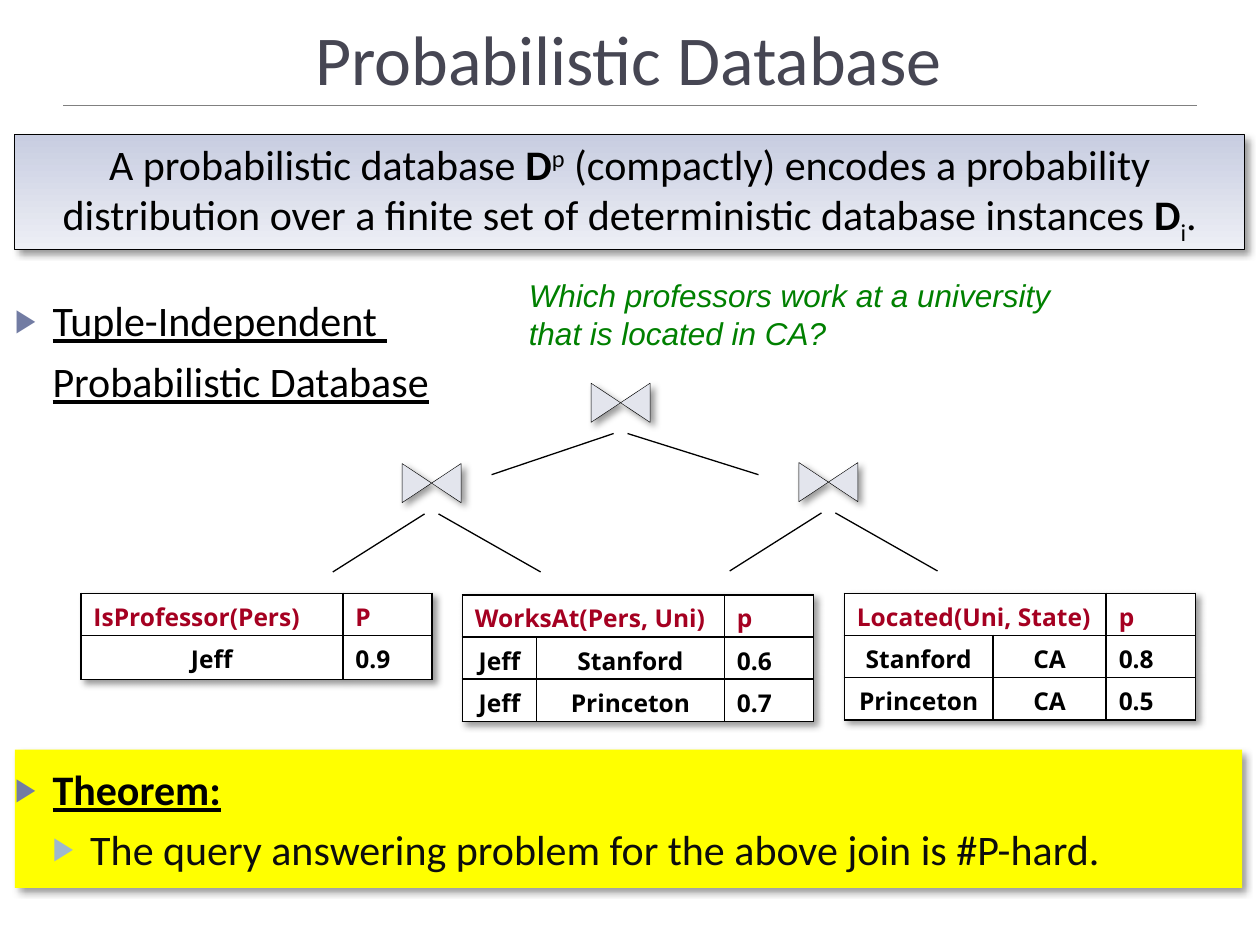
from lxml import etree
from pptx import Presentation
from pptx import util as u
from pptx.dml.color import RGBColor
from pptx.enum import shapes, text
from pptx.oxml import ns, parse_xml

BLACK = RGBColor(0x00, 0x00, 0x00)
WHITE = RGBColor(0xFF, 0xFF, 0xFF)
GREY = RGBColor(0x80, 0x80, 0x80)
SLATE = RGBColor(0x46, 0x46, 0x53)
INK = RGBColor(0x0D, 0x0D, 0x0D)
RED = RGBColor(0xA5, 0x00, 0x21)
GREEN = RGBColor(0x00, 0x80, 0x00)
YELLOW = RGBColor(0xFF, 0xFF, 0x00)
JOIN_FILL = RGBColor(0xE3, 0xE5, 0xED)
BANNER_TOP = RGBColor(0xC8, 0xCD, 0xE1)
BANNER_BOTTOM = RGBColor(0xED, 0xEF, 0xF5)
BULLET = RGBColor(0x72, 0x7C, 0xA3)
SUB_BULLET = RGBColor(0x9F, 0xB8, 0xCD)

SHADOW = (
    f'<a:outerShdw {ns.nsdecls("a")} blurRad="50800" dist="38100" dir="2700000" '
    'algn="tl" rotWithShape="0"><a:srgbClr val="000000"><a:alpha val="40000"/>'
    '</a:srgbClr></a:outerShdw>'
)
LEFT, CENTER = text.PP_ALIGN.LEFT, text.PP_ALIGN.CENTER
TOP, MIDDLE, BOTTOM = (text.MSO_ANCHOR.TOP, text.MSO_ANCHOR.MIDDLE,
                       text.MSO_ANCHOR.BOTTOM)
RECTANGLE = shapes.MSO_SHAPE.RECTANGLE
COLLATE = shapes.MSO_SHAPE.FLOWCHART_COLLATE


class SlideBuilder:
    body_font = "Calibri"
    table_font = "Open Sans"
    body_size = 24

    def __init__(self, slide):
        self.slide = slide

    def effects(self, properties, shadow, index=None):
        effects = etree.Element(ns.qn("a:effectLst"))
        if shadow:
            effects.append(parse_xml(SHADOW))
        properties.insert(len(properties) if index is None else index, effects)

    def shape(self, kind, left, top, width, height, fill, line=None):
        shape = self.slide.shapes.add_shape(
            kind, u.Cm(left), u.Cm(top), u.Cm(width), u.Cm(height))
        if isinstance(fill, RGBColor):
            shape.fill.solid()
            shape.fill.fore_color.rgb = fill
        else:
            shape.fill.gradient()
            shape.fill.gradient_angle = 270
            for position, stop in enumerate(shape.fill.gradient_stops):
                stop.color.rgb = fill[position]
                stop.position = position
        if line:
            shape.line.color.rgb = BLACK
            shape.line.width = u.Pt(line)
        else:
            shape.line.fill.background()
        self.effects(shape._element.spPr, shadow=True)
        return shape

    def line(self, x1, y1, x2, y2, color=BLACK, width=0.75, shadow=False):
        line = self.slide.shapes.add_connector(
            shapes.MSO_CONNECTOR.STRAIGHT,
            u.Cm(x1), u.Cm(y1), u.Cm(x2), u.Cm(y2))
        line.line.color.rgb = color
        line.line.width = u.Pt(width)
        self.effects(line._element.spPr, shadow)

    def text_box(self, left, top, width, height):
        return self.slide.shapes.add_textbox(
            u.Cm(left), u.Cm(top), u.Cm(width), u.Cm(height))

    def frame(self, shape, anchor=TOP, margin=None):
        frame = shape.text_frame
        frame.word_wrap = True
        frame.vertical_anchor = anchor
        if margin is not None:
            frame.margin_left = frame.margin_right = u.Cm(margin)
            frame.margin_top = frame.margin_bottom = u.Cm(margin)
        return frame

    def fill_paragraph(self, paragraph, content, align=LEFT, size=None, color=BLACK,
                       name=None, bold=None, italic=None, underline=None):
        paragraph.text = content
        paragraph.alignment = align
        font = paragraph.font
        font.name = name or self.body_font
        font.size = u.Pt(size or self.body_size)
        font.color.rgb = color
        font.bold, font.italic, font.underline = bold, italic, underline
        return paragraph

    def indent(self, paragraph, left, space=0, bullet=None):
        """Indent a paragraph, hanging a coloured arrow when bullet is given."""
        paragraph.space_before = u.Pt(space)
        properties = paragraph._p.get_or_add_pPr()
        properties.set("marL", str(int(u.Cm(left))))
        properties.set("indent", str(int(u.Cm(-0.76 if bullet else 0))))
        if bullet:
            marks = (
                f'<a:buClr {ns.nsdecls("a")}><a:srgbClr val="{bullet}"/></a:buClr>',
                f'<a:buSzPct {ns.nsdecls("a")} val="76000"/>',
                f'<a:buFont {ns.nsdecls("a")} typeface="Arial"/>',
                f'<a:buChar {ns.nsdecls("a")} char="▶"/>')
            # Bullet marks come before the default run properties
            position = len(properties.findall(ns.qn("a:spcBef")))
            for offset, mark in enumerate(marks):
                properties.insert(position + offset, parse_xml(mark))

    def join(self, x, y, left_reach, right_reach, depth):
        """Draw a join symbol centred on (x, y) and its two branches."""
        width, height = 0.79, 1.19
        symbol = self.shape(COLLATE, x - width / 2, y - height / 2,
                            width, height, JOIN_FILL, 0.25)
        symbol.rotation = 90
        for side, reach in ((-1, left_reach), (1, right_reach)):
            self.line(x + side * 0.14, y + 0.62, x + side * reach, y + depth)

    def table(self, left, top, columns, heights, rows):
        """Build a relation; None in a row extends the cell to its left."""
        graphic = self.slide.shapes.add_table(
            len(rows), len(columns), u.Cm(left), u.Cm(top),
            u.Cm(sum(columns)), u.Cm(sum(heights)))
        table = graphic.table
        table.first_row = table.horz_banding = False
        self.effects(table._tbl.tblPr, shadow=True, index=0)
        for column, width in zip(table.columns, columns):
            column.width = u.Cm(width)
        for row, height in zip(table.rows, heights):
            row.height = u.Cm(height)
        for i, row in enumerate(rows):
            for j, content in enumerate(row):
                cell = table.cell(i, j)
                self.style_cell(cell)
                if content is None:
                    table.cell(i, j - 1).merge(cell)
                    continue
                centred = i > 0 and j < len(row) - 1
                self.fill_paragraph(cell.text_frame.paragraphs[0], content,
                                    CENTER if centred else LEFT, 14,
                                    BLACK if i else RED, self.table_font, bold=True)

    def style_cell(self, cell):
        cell.fill.solid()
        cell.fill.fore_color.rgb = WHITE
        cell.margin_top, cell.margin_bottom = u.Cm(0.14), u.Cm(0)
        properties = cell._tc.get_or_add_tcPr()
        for index, side in enumerate("LRTB"):
            properties.insert(index, parse_xml(
                f'<a:ln{side} {ns.nsdecls("a")} w="12700"><a:solidFill>'
                f'<a:srgbClr val="{BLACK}"/></a:solidFill></a:ln{side}>'))


def main():
    presentation = Presentation()
    presentation.slide_width, presentation.slide_height = u.Cm(25.4), u.Cm(19.05)
    slide = presentation.slides.add_slide(presentation.slide_layouts[6])
    builder = SlideBuilder(slide)

    # Title and rule
    builder.line(1.27, 2.13, 24.13, 2.13, GREY, 0.25, shadow=True)
    title = builder.frame(builder.text_box(1.24, -0.03, 22.86, 2.16), BOTTOM)
    builder.fill_paragraph(title.paragraphs[0], "Probabilistic Database",
                           CENTER, 40, SLATE)

    # Definition banner
    banner = builder.shape(RECTANGLE, 0.3, 2.72, 24.79, 2.31,
                           (BANNER_TOP, BANNER_BOTTOM), 0.5)
    definition = builder.fill_paragraph(
        builder.frame(banner, MIDDLE).paragraphs[0], "", CENTER)
    for content, bold, baseline in (
            ("A probabilistic database ", False, 0), ("D", True, 0),
            ("p", False, 30000),
            (" (compactly) encodes a probability distribution over a finite set "
             "of deterministic database instances ", False, 0),
            ("D", True, 0), ("i", False, -25000), (".", False, 0)):
        run = definition.add_run()
        run.text = content
        run.font.bold = bold
        if baseline:
            run._r.get_or_add_rPr().set("baseline", str(baseline))

    # Topic
    topic = builder.frame(builder.text_box(0.05, 5.82, 10, 2.6))
    first = builder.fill_paragraph(topic.paragraphs[0], "Tuple-Independent ",
                                   underline=True)
    builder.indent(first, 0.76, bullet=BULLET)
    second = builder.fill_paragraph(topic.add_paragraph(), "Probabilistic Database",
                                    underline=True)
    builder.indent(second, 0.76, space=6)

    # Query
    query = builder.frame(builder.text_box(10.41, 5.44, 11.35, 1.8))
    builder.fill_paragraph(
        query.paragraphs[0],
        "Which professors work at a university that is located in CA?",
        size=18, color=GREEN, name="Arial", italic=True)

    # Join tree
    builder.join(12.51, 8.12, 2.6, 2.78, 1.45)
    for x, y in ((8.7, 9.74), (16.7, 9.72)):
        builder.join(x, y, 1.99, 2.2, 1.79)

    # Relations
    builder.table(1.63, 11.96, (5.28, 1.8), (0.85, 0.89),
                  (("IsProfessor(Pers)", "P"), ("Jeff", "0.9")))
    builder.table(9.32, 11.99, (1.5, 3.78, 1.8), (0.85,) * 3,
                  (("WorksAt(Pers, Uni)", None, "p"),
                   ("Jeff", "Stanford", "0.6"), ("Jeff", "Princeton", "0.7")))
    builder.table(17.02, 11.96, (3, 2.28, 1.8), (0.85,) * 3,
                  (("Located(Uni, State)", None, "p"),
                   ("Stanford", "CA", "0.8"), ("Princeton", "CA", "0.5")))

    # Theorem
    panel = builder.shape(RECTANGLE, 0.3, 15.11, 24.74, 2.79, YELLOW)
    theorem = builder.frame(panel, MIDDLE, margin=0)
    heading = builder.fill_paragraph(theorem.paragraphs[0], "Theorem:",
                                     bold=True, underline=True)
    builder.indent(heading, 0.76, bullet=BULLET)
    claim = builder.fill_paragraph(
        theorem.add_paragraph(),
        "The query answering problem for the above join is #P-hard.", color=INK)
    builder.indent(claim, 1.52, space=5, bullet=SUB_BULLET)

    presentation.save("out.pptx")


if __name__ == "__main__":
    main()
